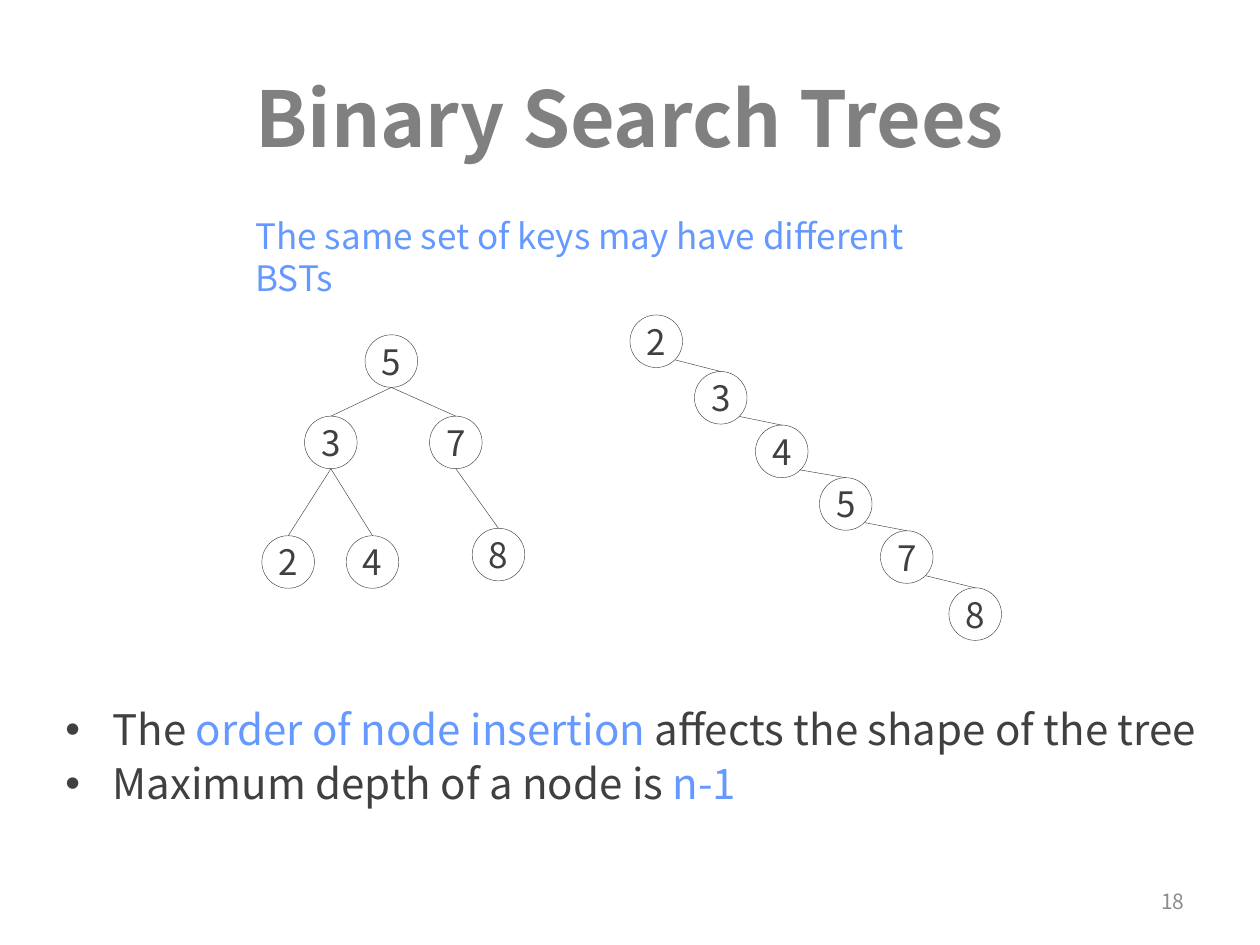
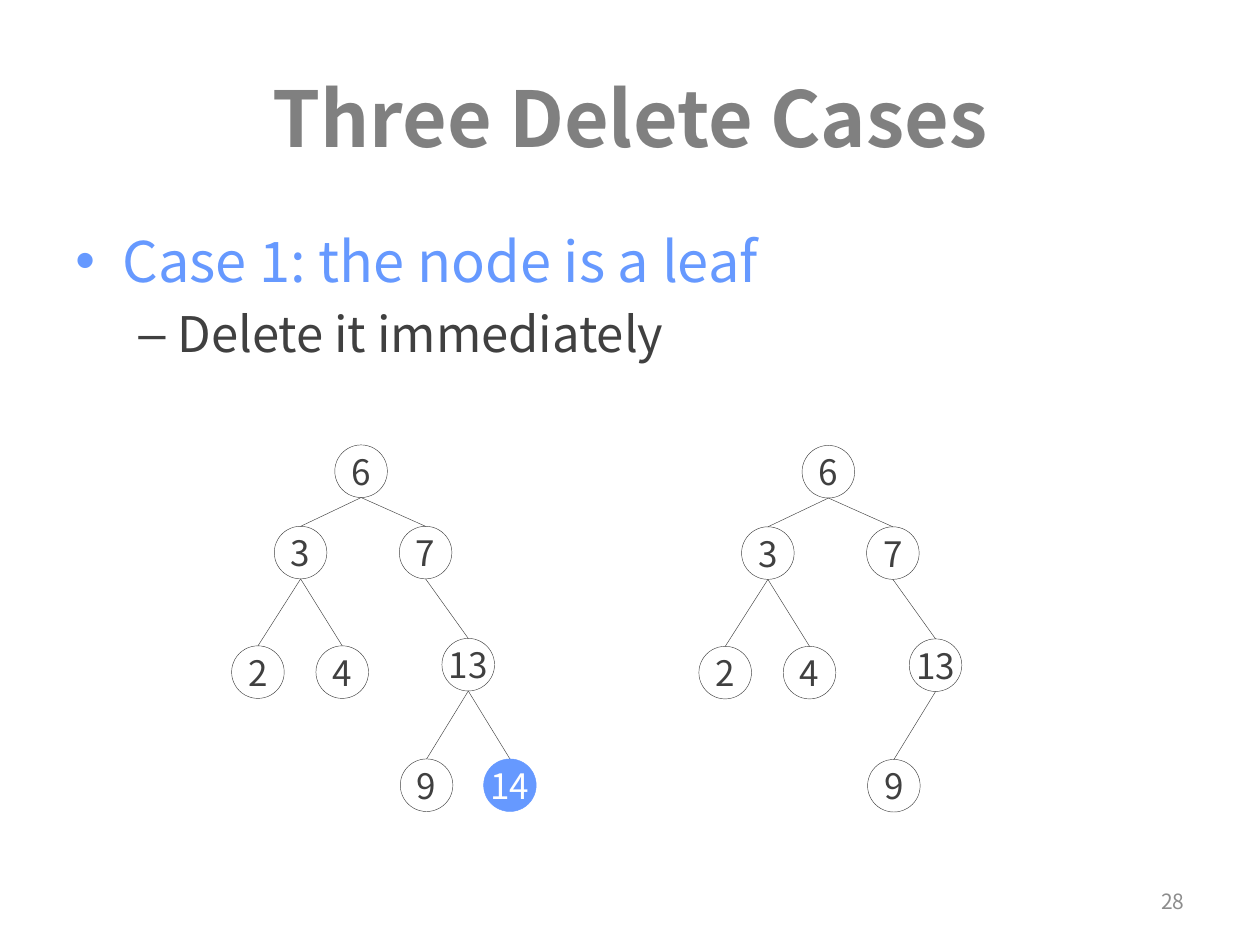
from math import sqrt

from lxml.etree import SubElement
from pptx import Presentation
from pptx.dml.color import RGBColor
from pptx.enum.shapes import MSO_CONNECTOR, MSO_SHAPE
from pptx.enum.text import MSO_ANCHOR, MSO_AUTO_SIZE, PP_ALIGN
from pptx.oxml.ns import qn
from pptx.util import Cm, Pt

COLORS = {
    "title": "808080",
    "text": "404040",
    "accent": "6699FF",
    "page": "8C8C8C",
    "white": "FFFFFF",
}
FONT = "Noto Sans CJK SC"
NODE = 1.06
TREE_OFFSETS = {
    "": (0, 0),
    "L": (-1.22, 1.64),
    "R": (1.3, 1.64),
    "LL": (-2.08, 4.05),
    "LR": (-0.38, 4.05),
    "RR": (2.16, 3.9),
    "RRL": (1.32, 6.33),
    "RRR": (3, 6.33),
}


class Deck:
    def __init__(self):
        self.prs = Presentation()
        self.prs.slide_width = Cm(25.4)
        self.prs.slide_height = Cm(19.05)
        self.s = None

    def color(self, name):
        return RGBColor.from_string(COLORS[name])

    def style(self, r, size, color="text", bold=False):
        r.font.name = FONT
        r.font.size = Pt(size)
        r.font.bold = bold
        r.font.color.rgb = self.color(color)

    def slide(self, title, page):
        self.s = self.prs.slides.add_slide(self.prs.slide_layouts[5])
        sp = self.s.shapes.title
        sp.left, sp.top, sp.width, sp.height = Cm(1.27), Cm(0.76), Cm(22.86), Cm(3.18)
        tf = sp.text_frame
        tf.text = title
        tf.auto_size = MSO_AUTO_SIZE.NONE
        tf.vertical_anchor = MSO_ANCHOR.MIDDLE
        tf.paragraphs[0].alignment = PP_ALIGN.CENTER
        self.style(tf.paragraphs[0].runs[0], 44, "title", True)
        self.text(page, 18.21, 17.65, 5.92, 1.02, 12, "page",
                  PP_ALIGN.RIGHT, MSO_ANCHOR.MIDDLE)

    def box(self, left, top, width, height):
        tf = self.s.shapes.add_textbox(Cm(left), Cm(top), Cm(width), Cm(height)).text_frame
        tf.word_wrap = True
        return tf

    def text(self, text, left, top, width, height, size, color,
             align=PP_ALIGN.LEFT, anchor=MSO_ANCHOR.TOP):
        tf = self.box(left, top, width, height)
        tf.text = text
        tf.vertical_anchor = anchor
        tf.paragraphs[0].alignment = align
        self.style(tf.paragraphs[0].runs[0], size, color)

    def bullets(self, items, left, top, width, height, spacing=1.0):
        tf = self.box(left, top, width, height)
        for i, (level, size, runs) in enumerate(items):
            p = tf.add_paragraph() if i else tf.paragraphs[0]
            self.bullet(p, level)
            p.line_spacing = spacing
            if i:
                p.space_before = Pt(round(size * 0.2, 1))
            for text, color in runs:
                r = p.add_run()
                r.text = text
                self.style(r, size, color)

    def bullet(self, p, level):
        char, margin, hanging = (("•", 0.95, 0.95), ("–", 2.06, 0.79))[level]
        p.level = level
        pPr = p._p.get_or_add_pPr()
        pPr.set("marL", str(Cm(margin)))
        pPr.set("indent", str(-Cm(hanging)))
        SubElement(pPr, qn("a:buFont")).set("typeface", "Arial")
        SubElement(pPr, qn("a:buChar")).set("char", char)

    def node(self, key, left, top, marked=False):
        sp = self.s.shapes.add_shape(MSO_SHAPE.OVAL, Cm(left), Cm(top), Cm(NODE), Cm(NODE))
        sp.shadow.inherit = False
        sp.line.width = Pt(0.25)
        sp.line.color.rgb = self.color("accent" if marked else "text")
        if marked:
            sp.fill.solid()
            sp.fill.fore_color.rgb = self.color("accent")
        else:
            sp.fill.background()
        tf = sp.text_frame
        tf.text = str(key)
        tf.word_wrap = False
        tf.margin_left = tf.margin_right = tf.margin_top = tf.margin_bottom = 0
        tf.vertical_anchor = MSO_ANCHOR.MIDDLE
        tf.paragraphs[0].alignment = PP_ALIGN.CENTER
        self.style(tf.paragraphs[0].runs[0], 20, "white" if marked else "text")

    def edge(self, x1, y1, x2, y2):
        line = self.s.shapes.add_connector(
            MSO_CONNECTOR.STRAIGHT, Cm(x1), Cm(y1), Cm(x2), Cm(y2))
        line.line.width = Pt(0.25)
        line.line.color.rgb = self.color("text")
        SubElement(line._element.spPr, qn("a:effectLst"))

    def tree(self, left, top, keys, marked=None):
        spots = {route: (left + TREE_OFFSETS[route][0], top + TREE_OFFSETS[route][1])
                 for route in keys}
        for route, key in keys.items():
            x, y = spots[route]
            if route:
                parent_x, parent_y = spots[route[:-1]]
                self.edge(parent_x + NODE / 2, parent_y + NODE, x + NODE / 2, y)
            self.node(key, x, y, key == marked)

    def chain(self, links):
        corner = NODE / 2 * (1 + 1 / sqrt(2))
        for (_, x1, y1), (_, x2, y2) in zip(links, links[1:]):
            self.edge(x1 + corner, y1 + corner, x2 + NODE / 2, y2)
        for key, x, y in links:
            self.node(key, x, y)


def main():
    deck = Deck()

    deck.slide("Binary Search Trees", "18")
    deck.text("The same set of keys may have different BSTs",
              4.9, 4.19, 14.96, 1.12, 20, "accent")
    deck.tree(7.36, 6.75, {"": 5, "L": 3, "R": 7, "LL": 2, "LR": 4, "RR": 8})
    deck.chain([(2, 12.7, 6.35), (3, 14, 7.49), (4, 15.23, 8.57),
                (5, 16.52, 9.63), (7, 17.75, 10.7), (8, 19.13, 11.85)])
    deck.bullets([
        (0, 24, [("The ", "text"), ("order of node insertion ", "accent"),
                 ("affects the shape of the tree", "text")]),
        (0, 24, [("Maximum depth of a node is ", "text"), ("n-1", "accent")]),
    ], 1.07, 14.17, 23.5, 4.01, 0.9)

    deck.slide("Three Delete Cases", "28")
    deck.bullets([
        (0, 32, [("Case 1: the node is a leaf", "accent")]),
        (1, 28, [("Delete it immediately", "text")]),
    ], 1.27, 4.45, 22.86, 3.4)
    after = {"": 6, "L": 3, "R": 7, "LL": 2, "LR": 4, "RR": 13, "RRL": 9}
    deck.tree(6.75, 8.97, {**after, "RRR": 14}, marked=14)
    deck.tree(16.17, 8.98, after)

    deck.prs.save("out.pptx")


if __name__ == "__main__":
    main()
